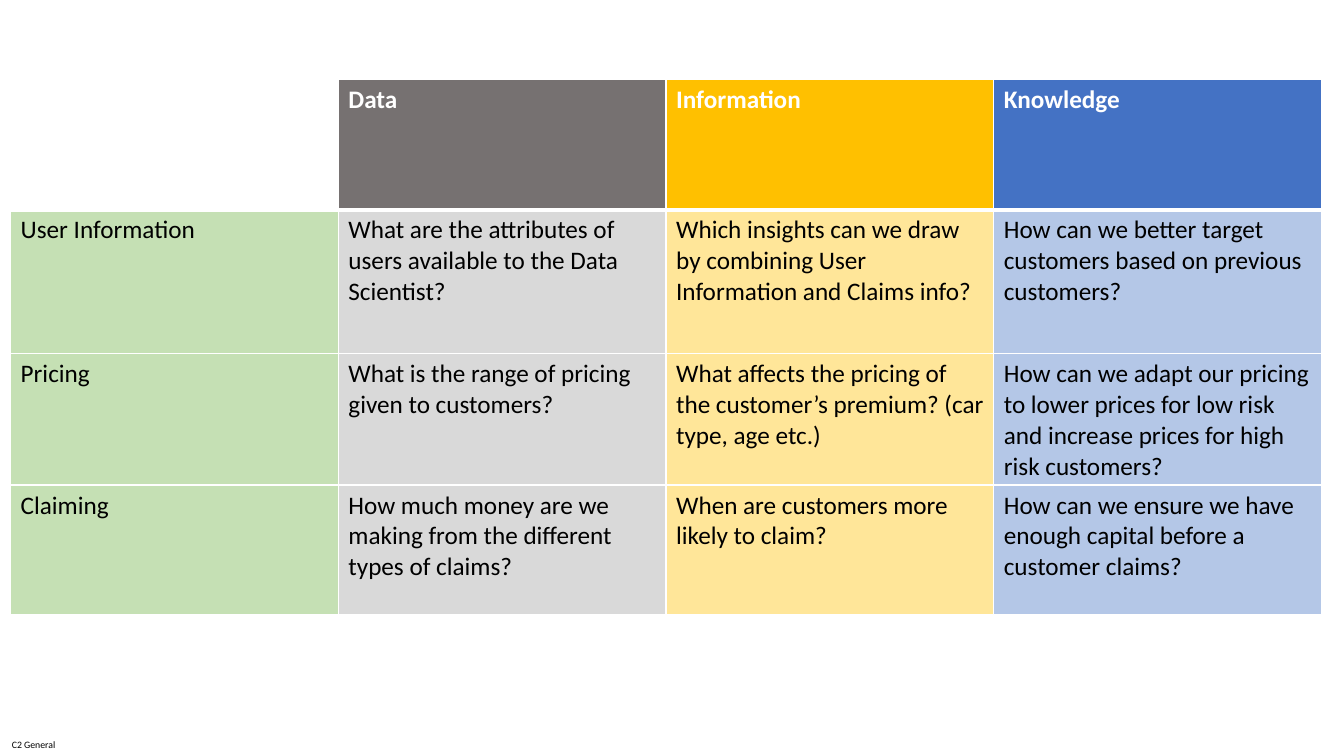
from typing import NamedTuple

from lxml import etree
from pptx import Presentation
from pptx.dml.color import RGBColor
from pptx.enum.text import MSO_ANCHOR
from pptx.oxml.ns import qn
from pptx.util import Pt

MIDDLE = MSO_ANCHOR.MIDDLE

FONT = "Calibri"
WHITE, BLACK = "FFFFFF", "000000"
THIN, THICK = 1, 3
COLUMN_WIDTH = 234.1
ROW_HEIGHTS = (92.9, 103, 92.9, 92.9)


class Column(NamedTuple):
    heading: str
    heading_fill: str
    body_fill: str
    entries: tuple[str, ...]


COLUMNS = (
    Column("", "", "C5E0B4", ("User Information", "Pricing", "Claiming")),
    Column("Data", "767171", "D9D9D9", (
        "What are the attributes of users available to the Data Scientist?",
        "What is the range of pricing given to customers?",
        "How much money are we making from the different types of claims?",
    )),
    Column("Information", "FFC000", "FFE699", (
        "Which insights can we draw by combining User Information and Claims info?",
        "What affects the pricing of the customer’s premium? (car type, age etc.)",
        "When are customers more likely to claim?",
    )),
    Column("Knowledge", "4472C4", "B4C7E7", (
        "How can we better target customers based on previous customers?",
        "How can we adapt our pricing to lower prices for low risk and increase "
        "prices for high risk customers?",
        "How can we ensure we have enough capital before a customer claims?",
    )),
)


def rgb(value: str) -> RGBColor:
    return RGBColor.from_string(value)


def write(tf, text: str, size: float, color: str, bold: bool = False) -> None:
    r = tf.paragraphs[0].add_run()
    r.text = text
    for name, value in {"name": FONT, "size": Pt(size), "bold": bold}.items():
        setattr(r.font, name, value)
    r.font.color.rgb = rgb(color)


def set_borders(cell, top: float, bottom: float) -> None:
    tc_pr = cell._tc.get_or_add_tcPr()
    for side, width in {"L": THIN, "R": THIN, "T": top, "B": bottom}.items():
        ln = etree.SubElement(tc_pr, qn(f"a:ln{side}"), w=str(Pt(width)))
        fill = etree.SubElement(ln, qn("a:solidFill"))
        etree.SubElement(fill, qn("a:srgbClr"), val=WHITE)


def fill_cell(cell, row: int, column: Column) -> None:
    is_heading = row == 0
    text = column.heading if is_heading else column.entries[row - 1]
    color = column.heading_fill if is_heading else column.body_fill
    set_borders(cell, THICK if row == 1 else THIN, THICK if is_heading else THIN)
    if color:
        cell.fill.solid()
        cell.fill.fore_color.rgb = rgb(color)
    else:
        cell.fill.background()
    if text:
        write(cell.text_frame, text, 18, WHITE if is_heading else BLACK, is_heading)


def add_question_table(s) -> None:
    table = s.shapes.add_table(
        len(ROW_HEIGHTS), len(COLUMNS), Pt(7.6), Pt(56.9),
        Pt(COLUMN_WIDTH * len(COLUMNS)), Pt(sum(ROW_HEIGHTS)),
    ).table
    table.horz_banding = False
    for i, height in enumerate(ROW_HEIGHTS):
        table.rows[i].height = Pt(height)
    for j, column in enumerate(COLUMNS):
        table.columns[j].width = Pt(COLUMN_WIDTH)
        for i in range(len(ROW_HEIGHTS)):
            fill_cell(table.cell(i, j), i, column)


def add_classification(s) -> None:
    tf = s.shapes.add_textbox(Pt(0), Pt(523.4), Pt(49), Pt(16.6)).text_frame
    frame_format = {
        "word_wrap": True, "vertical_anchor": MIDDLE, "margin_left": Pt(8.5),
        "margin_right": Pt(0), "margin_top": Pt(0), "margin_bottom": Pt(0),
    }
    for name, value in frame_format.items():
        setattr(tf, name, value)
    write(tf, "C2 General", 7, BLACK)


def main() -> None:
    prs = Presentation()
    prs.slide_width, prs.slide_height = Pt(960), Pt(540)
    s = prs.slides.add_slide(prs.slide_layouts[6])
    add_classification(s)
    add_question_table(s)
    prs.save("out.pptx")


if __name__ == "__main__":
    main()
